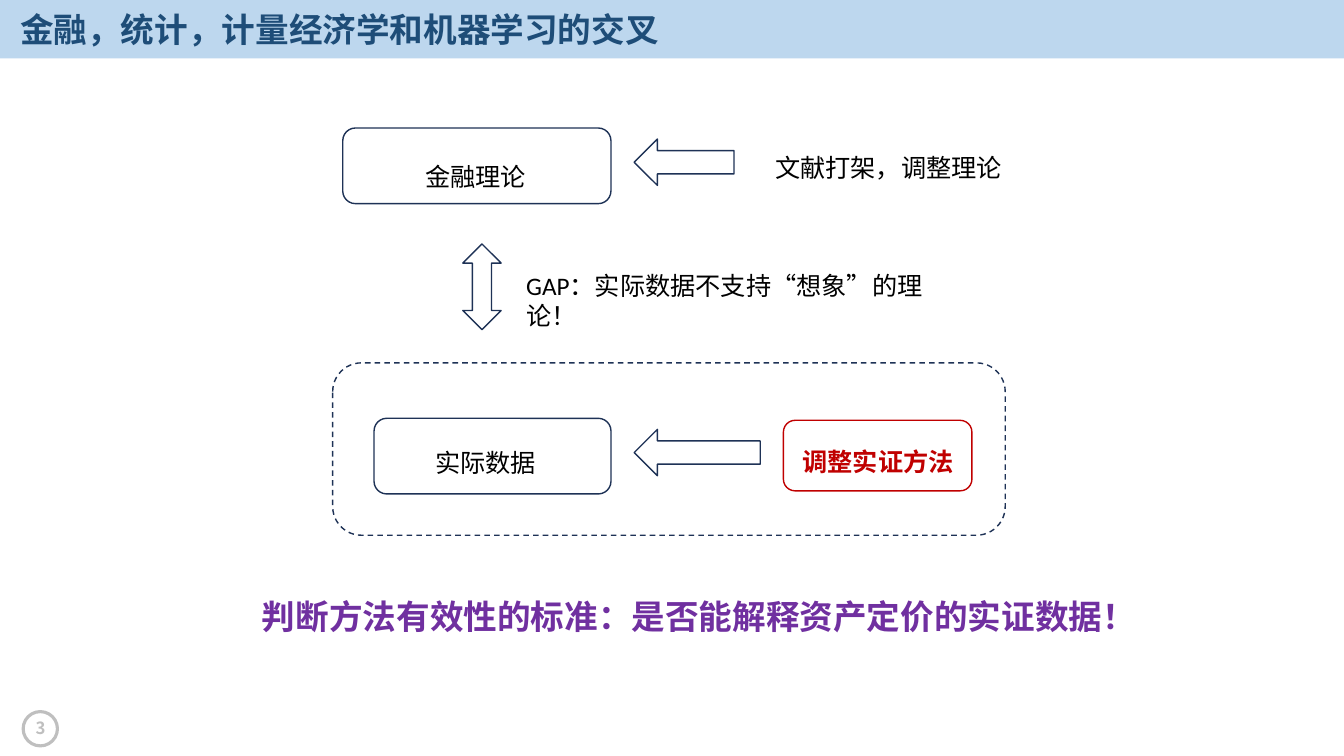
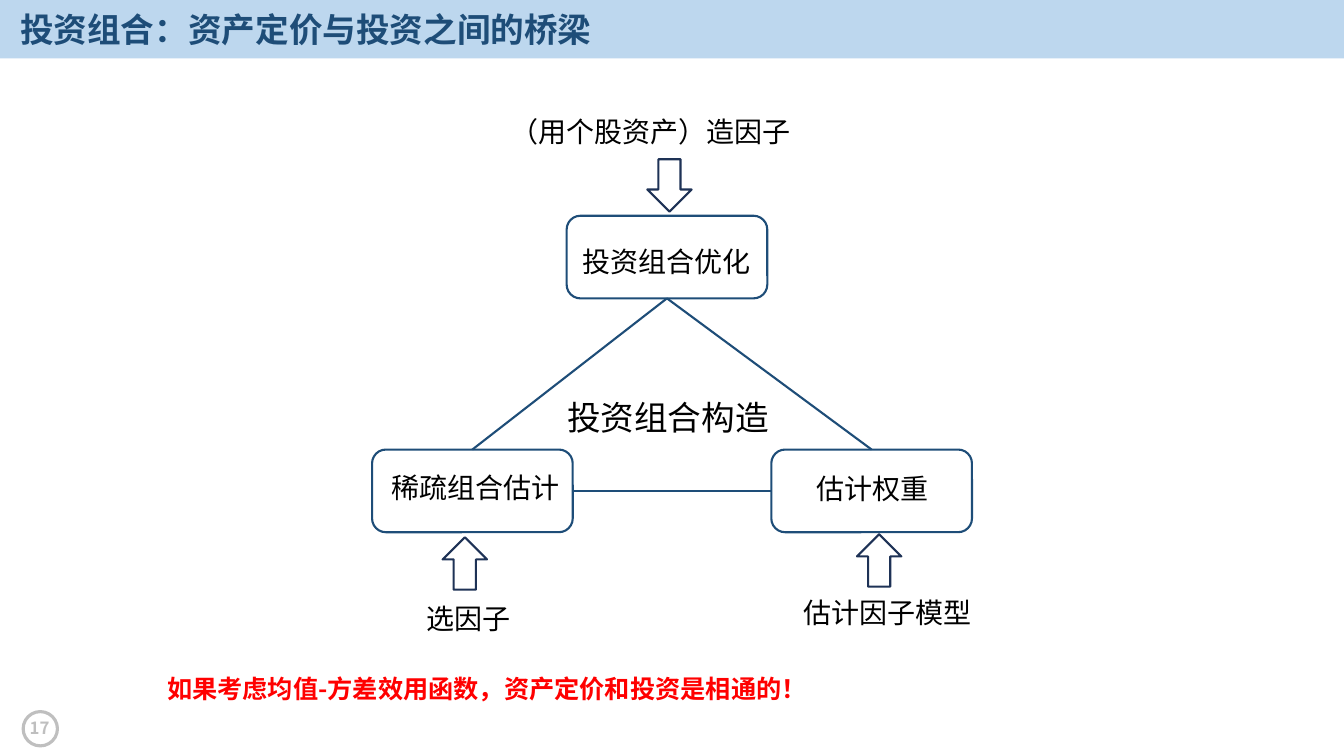
from dataclasses import dataclass
from typing import Optional

from lxml import etree
from pptx import Presentation
from pptx import util as u
from pptx.dml import color
from pptx.enum import dml, shapes, text
from pptx.oxml import ns

Kind = shapes.MSO_SHAPE
Align = text.PP_ALIGN


@dataclass(frozen=True)
class Theme:
    band: str = "BDD7EE"
    title: str = "1E4D78"
    outline: str = "1E3256"
    ink: str = "000000"
    muted: str = "BFBFBF"
    method: str = "C00000"
    verdict: str = "7030A0"
    alert: str = "FF0000"
    font: str = "Noto Sans CJK SC"
    latin_font: str = "Calibri"
    heading_size: int = 24
    node_size: int = 20
    body_size: int = 18
    number_size: int = 12


THEME = Theme()


@dataclass(frozen=True)
class Area:
    left: float
    top: float
    width: float
    height: float

    def lengths(self) -> tuple:
        return tuple(map(u.Inches, (self.left, self.top, self.width, self.height)))


@dataclass(frozen=True)
class Label:
    words: str
    area: Area
    size: int = THEME.body_size
    ink: str = THEME.ink
    bold: bool = False
    align: Align = Align.LEFT
    spacing: float = 1.0
    font: str = THEME.font


@dataclass(frozen=True)
class Outline:
    kind: Kind
    area: Area
    ink: str = THEME.outline
    weight: float = 1
    dash: Optional[dml.MSO_LINE] = None


def write(frame, words: str, *, size: int, ink: str, bold: bool = False,
          align: Align = Align.LEFT, spacing: float = 1.0,
          font: str = THEME.font, anchor=text.MSO_ANCHOR.TOP,
          fit=text.MSO_AUTO_SIZE.NONE) -> None:
    frame.word_wrap = True
    frame.auto_size = fit
    frame.vertical_anchor = anchor
    para = frame.paragraphs[0]
    para.alignment = align
    para.line_spacing = spacing
    span = para.add_run()
    span.text = words
    span.font.size = u.Pt(size)
    span.font.bold = bold
    span.font.name = font
    span.font.color.rgb = color.RGBColor.from_string(ink)
    east_asian = etree.SubElement(span.font._element, ns.qn("a:ea"))
    east_asian.set("typeface", THEME.font)


def draw_label(page, label: Label) -> None:
    box = page.shapes.add_textbox(*label.area.lengths())
    write(box.text_frame, label.words, size=label.size, ink=label.ink,
          bold=label.bold, align=label.align, spacing=label.spacing,
          font=label.font, fit=text.MSO_AUTO_SIZE.SHAPE_TO_FIT_TEXT)


def draw_outline(page, outline: Outline):
    shape = page.shapes.add_shape(outline.kind, *outline.area.lengths())
    shape.shadow.inherit = False
    shape.fill.background()
    shape.line.color.rgb = color.RGBColor.from_string(outline.ink)
    shape.line.width = u.Pt(outline.weight)
    if outline.dash is not None:
        shape.line.dash_style = outline.dash
    return shape


def join(page, start, start_site: int, finish, finish_site: int) -> None:
    line = page.shapes.add_connector(shapes.MSO_CONNECTOR.STRAIGHT, 0, 0, 0, 0)
    line.begin_connect(start, start_site)
    line.end_connect(finish, finish_site)
    line.line.color.rgb = color.RGBColor.from_string(THEME.title)
    line.line.width = u.Pt(1.5)
    etree.SubElement(line.element.spPr, ns.qn("a:effectLst"))


def add_page(deck, title: str, number: int, number_left: float):
    page = deck.slides.add_slide(deck.slide_layouts[5])
    heading = page.shapes.title
    heading.left, heading.top, heading.width, heading.height = Area(0.1, 0, 11.5, 0.62).lengths()
    write(heading.text_frame, title, size=THEME.heading_size, ink=THEME.title,
          bold=True, spacing=0.9, anchor=text.MSO_ANCHOR.MIDDLE)
    band = page.shapes.add_shape(Kind.RECTANGLE, *Area(0, 0, 13.33, 0.58).lengths())
    band.shadow.inherit = False
    band.fill.solid()
    band.fill.fore_color.rgb = color.RGBColor.from_string(THEME.band)
    band.line.fill.background()
    heading.element.addprevious(band.element)
    draw_outline(page, Outline(Kind.OVAL, Area(0.23, 7.06, 0.34, 0.34), THEME.muted, 2.25))
    box = page.shapes.add_textbox(*Area(number_left, 7.02, 0.44, 0.4).lengths())
    write(box.text_frame, str(number), size=THEME.number_size, ink=THEME.muted,
          bold=True, align=Align.RIGHT, anchor=text.MSO_ANCHOR.MIDDLE)
    return page


def build_theory_page(deck) -> None:
    page = add_page(deck, "金融，统计，计量经济学和机器学习的交叉", 3, 0.11)
    labels = (
        Label("金融理论", Area(4.12, 1.4, 1.86, 0.5), spacing=1.5),
        Label("实际数据", Area(3.71, 4.24, 2.21, 0.5), align=Align.CENTER, spacing=1.5),
        Label("GAP：实际数据不支持“想象”的理论！", Area(5.12, 2.63, 4.2, 0.4),
              font=THEME.latin_font),
        Label("调整实证方法", Area(7.86, 4.23, 1.72, 0.5), ink=THEME.method,
              bold=True, spacing=1.5),
        Label("文献打架，调整理论", Area(7.59, 1.31, 2.54, 0.5), spacing=1.5),
        Label("判断方法有效性的标准：是否能解释资产定价的实证数据！",
              Area(2.5, 5.66, 8.55, 0.64), size=THEME.heading_size,
              ink=THEME.verdict, bold=True, spacing=1.5),
    )
    outlines = (
        Outline(Kind.ROUNDED_RECTANGLE, Area(3.4, 1.27, 2.66, 0.75)),
        Outline(Kind.ROUNDED_RECTANGLE, Area(3.71, 4.15, 2.35, 0.75)),
        Outline(Kind.ROUNDED_RECTANGLE, Area(7.77, 4.17, 1.87, 0.7), THEME.method),
        Outline(Kind.ROUNDED_RECTANGLE, Area(3.3, 3.6, 6.67, 1.71), dash=dml.MSO_LINE.DASH),
        Outline(Kind.UP_DOWN_ARROW, Area(4.59, 2.42, 0.38, 0.85)),
        Outline(Kind.LEFT_ARROW, Area(6.29, 1.38, 0.99, 0.46)),
        Outline(Kind.LEFT_ARROW, Area(6.29, 4.26, 1.25, 0.46)),
    )
    for label in labels:
        draw_label(page, label)
    for outline in outlines:
        draw_outline(page, outline)


def build_portfolio_page(deck) -> None:
    page = add_page(deck, "投资组合：资产定价与投资之间的桥梁", 17, 0.15)
    size = THEME.node_size
    labels = (
        Label("投资组合优化", Area(5.68, 2.38, 2.11, 0.44), size),
        Label("稀疏组合估计", Area(3.66, 4.62, 2.11, 0.44), size, align=Align.CENTER),
        Label("估计权重", Area(7.6, 4.63, 2.11, 0.44), size, align=Align.CENTER),
        Label("选因子", Area(4.13, 5.92, 1.67, 0.44), size),
        Label("（用个股资产）造因子", Area(4.96, 1.09, 4.65, 0.44), size),
        Label("估计因子模型", Area(7.87, 5.86, 1.99, 0.44), size),
        Label("投资组合构造", Area(4.19, 3.69, 4.87, 0.64), THEME.heading_size,
              align=Align.CENTER, spacing=1.5),
        Label("如果考虑均值-方差效用函数，资产定价和投资是相通的！",
              Area(1.56, 6.63, 8.4, 0.4), ink=THEME.alert, bold=True),
    )
    for label in labels:
        draw_label(page, label)
    optimum, sparse, weights = (
        draw_outline(page, Outline(Kind.ROUNDED_RECTANGLE, Area(left, top, 1.99, 0.82),
                                   THEME.title, 1.5))
        for left, top in ((5.62, 2.14), (3.69, 4.46), (7.65, 4.46))
    )
    top_site, left_site, bottom_site, right_site = range(4)
    join(page, optimum, bottom_site, sparse, top_site)
    join(page, weights, left_site, sparse, right_site)
    join(page, weights, top_site, optimum, bottom_site)
    for kind, left, top in ((Kind.UP_ARROW, 4.39, 5.33), (Kind.UP_ARROW, 8.5, 5.3),
                            (Kind.DOWN_ARROW, 6.42, 1.58)):
        draw_outline(page, Outline(kind, Area(left, top, 0.44, 0.52), weight=1.5))


def main() -> None:
    deck = Presentation()
    deck.slide_width = u.Inches(13.33)
    deck.slide_height = u.Inches(7.5)
    build_theory_page(deck)
    build_portfolio_page(deck)
    deck.save("out.pptx")


if __name__ == "__main__":
    main()
